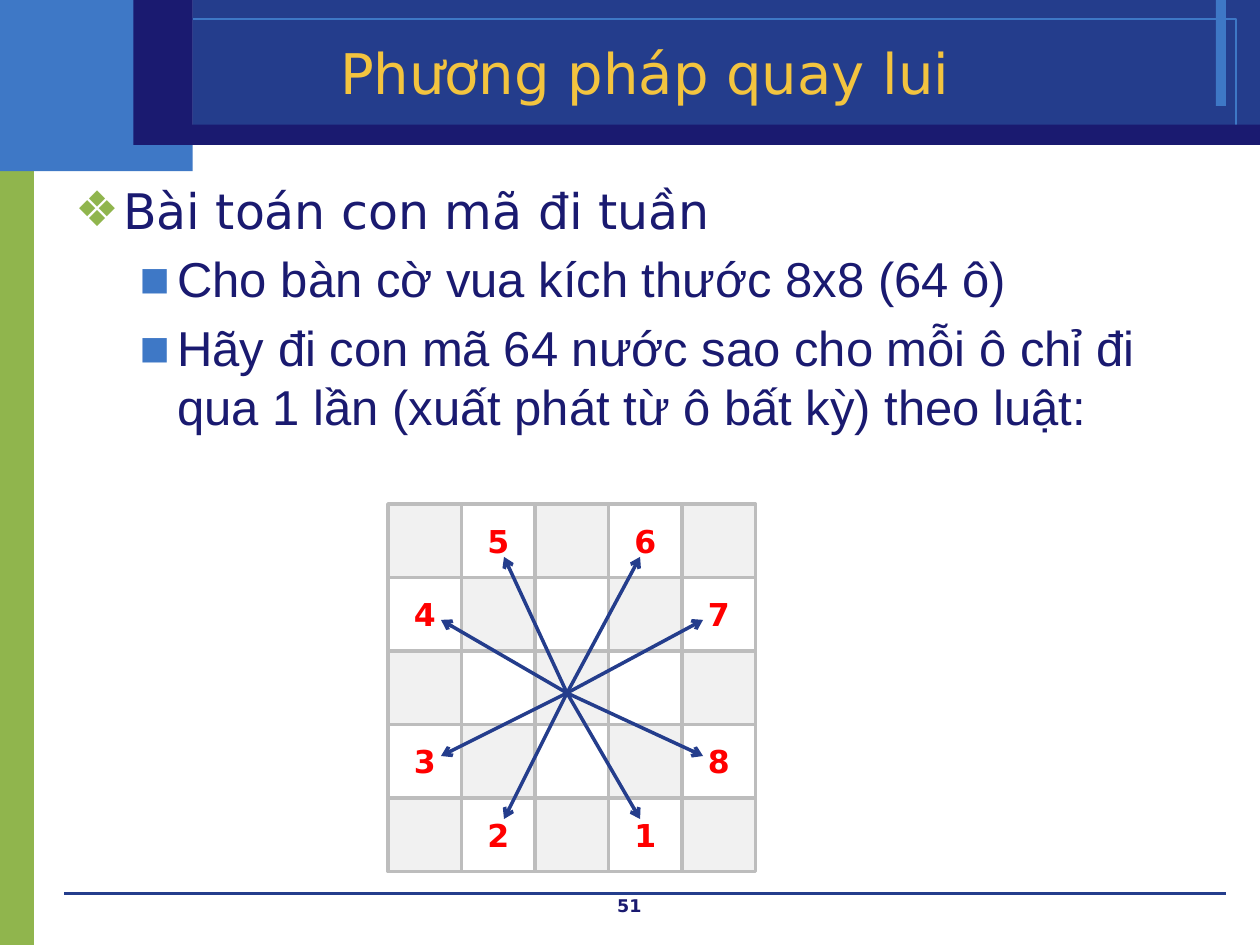
from typing import NamedTuple, Optional

from lxml.etree import SubElement
from pptx import Presentation
from pptx.dml.color import RGBColor
from pptx.enum.shapes import MSO_CONNECTOR as Connector, MSO_SHAPE as Shape
from pptx.enum.text import MSO_ANCHOR as Anchor, PP_ALIGN as Align
from pptx.oxml.ns import qn
from pptx.util import Inches, Pt

WHITE = RGBColor(0xFF, 0xFF, 0xFF)
GREEN = RGBColor(0x90, 0xB5, 0x4D)
SKY = RGBColor(0x3E, 0x78, 0xC6)
BLUE = RGBColor(0x24, 0x3D, 0x8C)
NAVY = RGBColor(0x1A, 0x1A, 0x70)
GOLD = RGBColor(0xF3, 0xC4, 0x3F)
RED = RGBColor(0xFF, 0x00, 0x00)
PALE = RGBColor(0xF1, 0xF1, 0xF1)
GRAY = RGBColor(0xBD, 0xBD, 0xBD)

SANS = "DejaVu Sans"
BOARD_LEFT, BOARD_TOP, BOARD_SIZE = 3.08, 4, 5
CELL = 7 / 12
KNIGHT = (4.5, 5.5)


class Box(NamedTuple):
    left: float
    top: float
    width: float
    height: float
    fill: Optional[RGBColor] = None
    line: Optional[RGBColor] = None
    line_width: float = 0


class Bullet(NamedTuple):
    text: str
    level: int
    font: str
    mark: str
    mark_color: RGBColor
    margin: float
    hanging: float


class Move(NamedTuple):
    number: str
    row: int
    column: int
    tip: tuple[float, float]


FRAME = [
    Box(0, 1.07, 0.27, 6.43, GREEN),
    Box(0, 0, 1.53, 1.36, SKY),
    Box(1.53, 0, 8.47, 1.15, BLUE),
    Box(9.65, 0, 0.08, 0.84, SKY),
    Box(0.2, 0.15, 9.61, 0.85, line=SKY),
]
FRAME_FRONT = [
    Box(1.3, 0.99, 8.7, 0.16, NAVY),
    Box(1.06, 0, 0.47, 1.15, NAVY),
]
BULLETS = [
    Bullet("Bài toán con mã đi tuần", 0, SANS, "❖", GREEN, 0.38, 0.38),
    Bullet("Cho bàn cờ vua kích thước 8x8 (64 ô)",
           1, "Arial", "▪", SKY, 0.81, 0.31),
    Bullet("Hãy đi con mã 64 nước sao cho mỗi ô chỉ đi qua 1 lần "
           "(xuất phát từ ô bất kỳ) theo luật:",
           1, "Arial", "▪", SKY, 0.81, 0.31),
]
MOVES = [
    Move("1", 4, 3, (5.08, 6.5)),
    Move("2", 4, 1, (4, 6.5)),
    Move("3", 3, 0, (3.5, 6)),
    Move("4", 1, 0, (3.5, 4.92)),
    Move("5", 0, 1, (4, 4.42)),
    Move("6", 0, 3, (5.08, 4.42)),
    Move("7", 1, 4, (5.58, 4.92)),
    Move("8", 3, 4, (5.58, 6)),
]


def draw_box(slide, box: Box):
    rect = slide.shapes.add_shape(Shape.RECTANGLE, *map(Inches, box[:4]))
    rect.shadow.inherit = False
    if box.fill is None:
        rect.fill.background()
    else:
        rect.fill.solid()
        rect.fill.fore_color.rgb = box.fill
    if box.line is None:
        rect.line.fill.background()
    else:
        rect.line.color.rgb = box.line
        rect.line.width = Pt(box.line_width)
    return rect


def draw_line(slide, start: tuple[float, float], end: tuple[float, float],
              width: float, arrow: bool = False) -> None:
    line = slide.shapes.add_connector(
        Connector.STRAIGHT, *map(Inches, (*start, *end)))
    line.line.color.rgb = BLUE
    line.line.width = Pt(width)
    if arrow:
        SubElement(line.line._get_or_add_ln(), qn("a:tailEnd"), type="arrow")
    SubElement(line._element.spPr, qn("a:effectLst"))


def style(paragraph, font: str, size: float, color: RGBColor,
          bold: bool = False) -> None:
    paragraph.font.name = font
    paragraph.font.size = Pt(size)
    paragraph.font.bold = bold
    paragraph.font.color.rgb = color


def write_centered(frame, text: str, size: float, color: RGBColor,
                   bold: bool = False) -> None:
    frame.word_wrap = True
    paragraph = frame.paragraphs[0]
    paragraph.text = text
    paragraph.alignment = Align.CENTER
    style(paragraph, SANS, size, color, bold)


def add_text_frame(slide, left: float, top: float, width: float, height: float):
    area = slide.shapes.add_textbox(*map(Inches, (left, top, width, height)))
    area.text_frame.word_wrap = True
    return area.text_frame


def write_bullet(paragraph, bullet: Bullet) -> None:
    paragraph.text = bullet.text
    paragraph.level = bullet.level
    properties = paragraph._p.get_or_add_pPr()
    properties.set("marL", str(Inches(bullet.margin)))
    properties.set("indent", str(-Inches(bullet.hanging)))
    mark_color = SubElement(properties, qn("a:buClr"))
    SubElement(mark_color, qn("a:srgbClr"), val=str(bullet.mark_color))
    SubElement(properties, qn("a:buFont"), typeface=SANS)
    SubElement(properties, qn("a:buChar"), char=bullet.mark)
    style(paragraph, bullet.font, 28, NAVY)


def draw_board(slide) -> None:
    numbers = {(move.row, move.column): move.number for move in MOVES}
    for row in range(BOARD_SIZE):
        for column in range(BOARD_SIZE):
            fill = WHITE if (row + column) % 2 else PALE
            square = draw_box(slide, Box(
                BOARD_LEFT + column * CELL, BOARD_TOP + row * CELL,
                CELL, CELL, fill, GRAY, 2))
            if (row, column) in numbers:
                square.text_frame.vertical_anchor = Anchor.MIDDLE
                write_centered(square.text_frame, numbers[row, column],
                               18, RED, bold=True)
    for move in MOVES:
        draw_line(slide, KNIGHT, move.tip, 2, arrow=True)


def main() -> None:
    deck = Presentation()
    deck.slide_width, deck.slide_height = Inches(10), Inches(7.5)
    slide = deck.slides.add_slide(deck.slide_layouts[6])

    # Frame and footer rule
    for box in FRAME:
        draw_box(slide, box)
    draw_line(slide, (0.51, 7.09), (9.73, 7.09), 0)
    for box in FRAME_FRONT:
        draw_box(slide, box)

    # Title
    title = add_text_frame(slide, 0.82, 0.26, 8.6, 0.62)
    title.vertical_anchor = Anchor.MIDDLE
    write_centered(title, "Phương pháp quay lui", 32, GOLD)

    # Problem statement
    problem = add_text_frame(slide, 0.5, 1.38, 9, 5.74)
    for index, bullet in enumerate(BULLETS):
        paragraph = problem.add_paragraph() if index else problem.paragraphs[0]
        if index:
            paragraph.space_before = Pt(5.6)
        write_bullet(paragraph, bullet)

    # Page number
    page_number = add_text_frame(slide, 3.83, 7.05, 2.33, 0.25)
    write_centered(page_number, "51", 10, NAVY, bold=True)

    # Knight moves
    draw_board(slide)
    deck.save("out.pptx")


if __name__ == "__main__":
    main()
